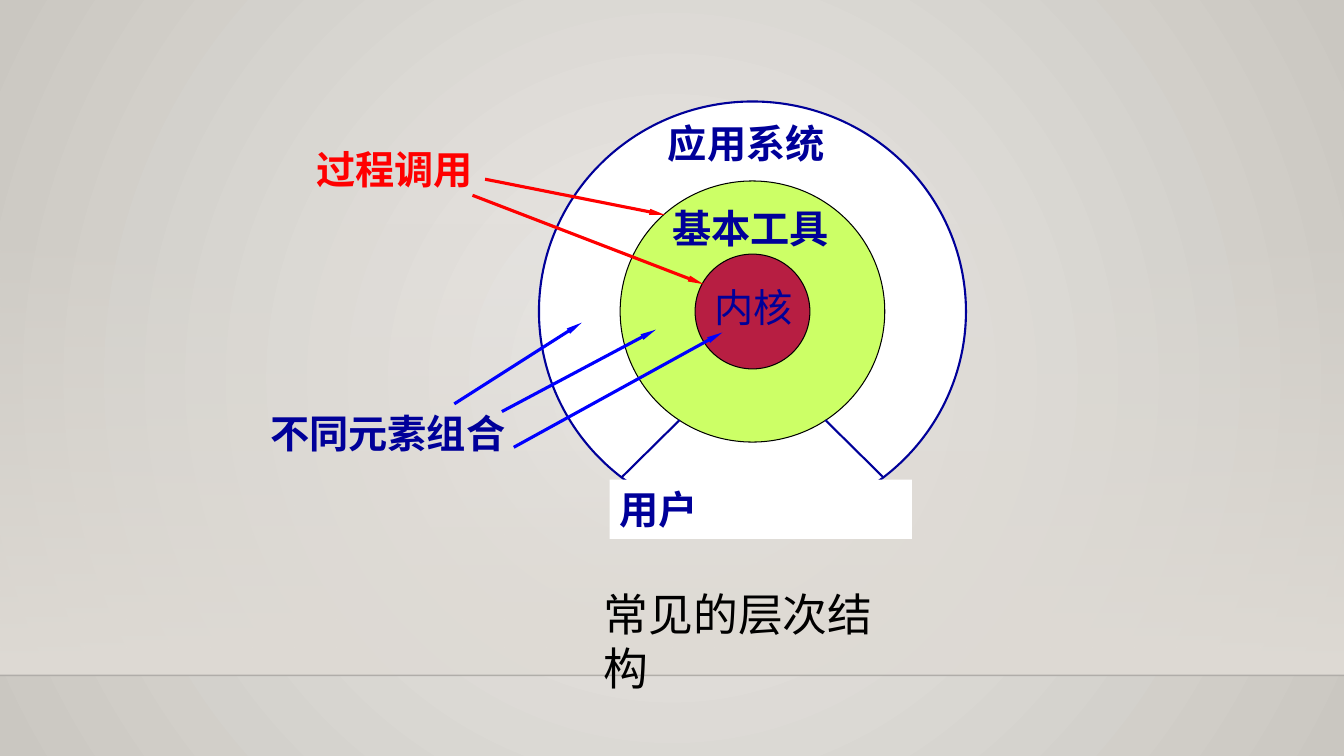
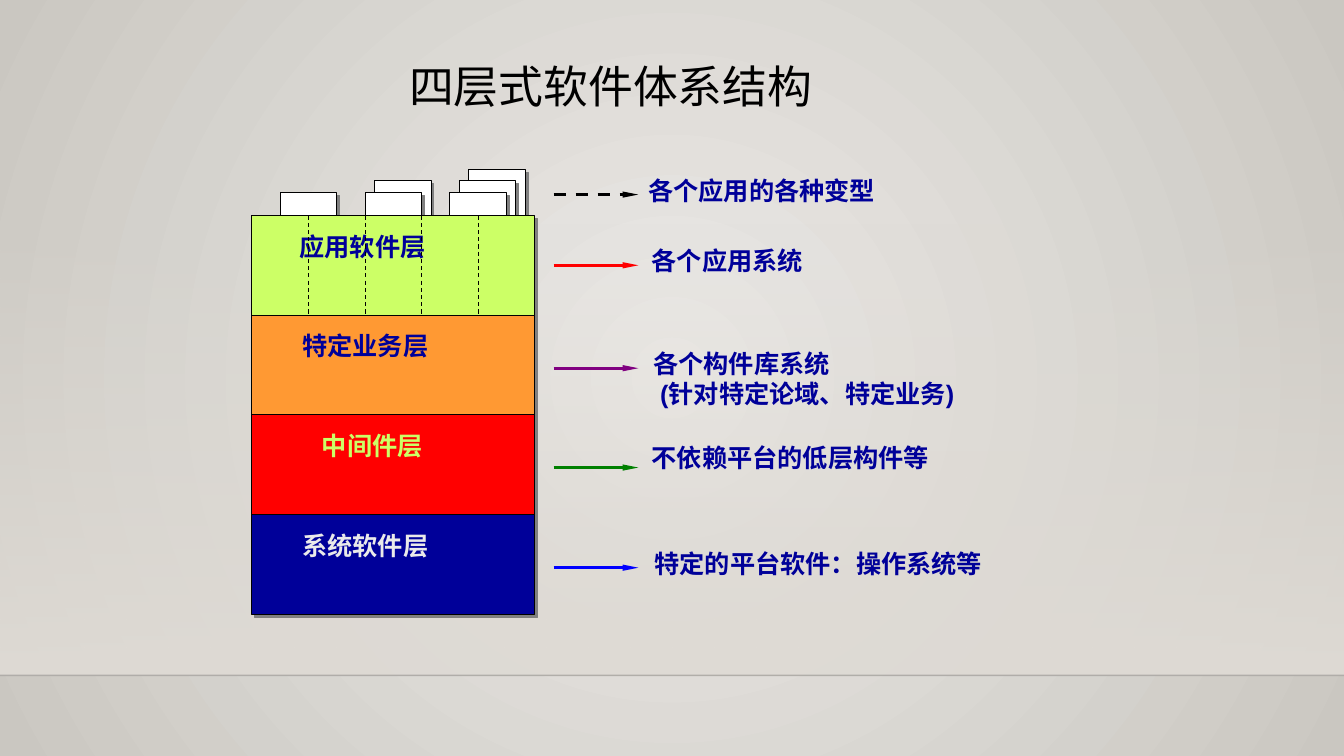
import dataclasses
import pptx
import pptx.dml.color
import pptx.enum.dml
import pptx.enum.shapes
import pptx.enum.text
import pptx.oxml
import pptx.oxml.ns
import pptx.util

Pt = pptx.util.Pt
Shape = pptx.enum.shapes.MSO_SHAPE
Anchor = pptx.enum.text.MSO_ANCHOR
qn = pptx.oxml.ns.qn


@dataclasses.dataclass(frozen=True)
class Theme:
    """Colours, fonts and sizes shared by the slides."""
    glow: str = "ECEAE7"
    edge: str = "CAC7C1"
    wall: str = "DFDBD5"
    floor: str = "000001"
    ink: str = "000000"
    navy: str = "000099"
    blue: str = "0000FF"
    red: str = "FF0000"
    lime: str = "CCFF66"
    wine: str = "B71E42"
    amber: str = "FF9933"
    plum: str = "800080"
    green: str = "008000"
    pale: str = "EAEAEA"
    white: str = "FFFFFF"
    shade: str = "808080"
    font: str = "Arial"
    serif: str = "Times New Roman"
    title: float = 32
    label: float = 28
    note: float = 18
    thin: float = 0.75
    rim: float = 1.5
    thick: float = 2.25


@dataclasses.dataclass(frozen=True)
class Box:
    """A region in points."""
    x: float
    y: float
    w: float
    h: float

    def sub(self, x, y, w, h):
        """Return a box placed relative to this one."""
        return Box(self.x + x, self.y + y, w, h)

    def at(self, x, y):
        """Return a point placed relative to this box."""
        return self.x + x, self.y + y

    def pts(self):
        """Return left, top, width and height as lengths."""
        return [Pt(v) for v in (self.x, self.y, self.w, self.h)]


T = Theme()


def rgb(code):
    """Return a colour from its hex code."""
    return pptx.dml.color.RGBColor.from_string(code)


def node(text):
    """Parse a drawing element written with the a: prefix."""
    head, rest = text.split(">", 1)
    slash = "/" if head.endswith("/") else ""
    head = head.rstrip("/")
    return pptx.oxml.parse_xml(f"{head} {pptx.oxml.ns.nsdecls('a')}{slash}>{rest}")


def blend(root, stops, way):
    """Refill the first gradient under root with stops and a direction."""
    grad = root.find(".//" + qn("a:gradFill"))
    for kid in list(grad):
        grad.remove(kid)
    marks = "".join(
        f'<a:gs pos="{pos}"><a:srgbClr val="{code}"><a:alpha val="{alpha}"/></a:srgbClr></a:gs>'
        for pos, code, alpha in stops)
    grad.append(node(f"<a:gsLst>{marks}</a:gsLst>"))
    grad.append(node(way))


def write(frame, text, size, color, bold=True, font=T.font):
    """Fill a text frame with left-aligned text in one style."""
    frame.text = text
    frame.word_wrap = True
    for para in frame.paragraphs:
        para.alignment = pptx.enum.text.PP_ALIGN.LEFT
        for run in para.runs:
            run.font.size = Pt(size)
            run.font.name = font
            run.font.bold = bold
            run.font.color.rgb = rgb(color)


def label(slide, box, text, size=T.label, color=T.navy, bold=True):
    """Add a text box."""
    write(slide.shapes.add_textbox(*box.pts()).text_frame, text, size, color, bold)


def form(slide, kind, box, fill, edge=None, width=T.thin, drop=False):
    """Add a filled shape, with an outline or hard shadow if asked."""
    shape = slide.shapes.add_shape(kind, *box.pts())
    shape.shadow.inherit = False
    shape.fill.solid()
    shape.fill.fore_color.rgb = rgb(fill)
    if edge:
        shape.line.color.rgb = rgb(edge)
        shape.line.width = Pt(width)
    else:
        shape.line.fill.background()
    if drop:
        shape.element.spPr.find(qn("a:effectLst")).append(node(
            f'<a:outerShdw dist="{Pt(2.8)}" dir="2700000" algn="ctr" rotWithShape="0">'
            f'<a:srgbClr val="{T.shade}"/></a:outerShdw>'))
    return shape


def line(slide, start, end, color, width, tip=False, dash=False):
    """Add a straight line, with an arrowhead at its end if asked."""
    link = slide.shapes.add_connector(
        pptx.enum.shapes.MSO_CONNECTOR.STRAIGHT, *[Pt(v) for v in (*start, *end)])
    link.line.color.rgb = rgb(color)
    link.line.width = Pt(width)
    if dash:
        link.line.dash_style = pptx.enum.dml.MSO_LINE.DASH
    props = link.element.spPr
    if tip:
        props.find(qn("a:ln")).append(node('<a:tailEnd type="triangle" w="sm" len="lg"/>'))
    props.append(node("<a:effectLst/>"))
    return link


def heading(slide, box, text, anchor):
    """Place and format the title."""
    title = slide.shapes.title
    title.left, title.top, title.width, title.height = box.pts()
    write(title.text_frame, text, T.title, T.ink, False)
    title.text_frame.auto_size = pptx.enum.text.MSO_AUTO_SIZE.NONE
    title.text_frame.vertical_anchor = anchor


def backdrop(deck, slide, box):
    """Put the glow, wall and floor line on the master."""
    master = deck.slide_master
    master.background.fill.gradient()
    blend(master.element, [(0, T.glow, 100000), (100000, T.edge, 100000)],
          '<a:path path="circle"><a:fillToRect l="50000" t="50000" r="50000" b="50000"/></a:path>')
    base = 482.4
    wall = form(slide, Shape.RECTANGLE, box.sub(0, 159, box.w, base - 159), T.wall)
    wall.fill.gradient()
    blend(wall.element, [(0, T.wall, 0), (100000, T.wall, 100000)],
          '<a:lin ang="5400000" scaled="0"/>')
    floor = line(slide, box.at(0, base), box.at(box.w, base), T.floor, 1)
    floor.element.find(".//" + qn("a:srgbClr")).append(node('<a:alpha val="20000"/>'))
    tree = master.element.cSld.spTree
    for rank, part in enumerate((wall, floor)):
        part.element.find(".//" + qn("p:cNvPr")).set("id", str(101 + rank))
        tree.insert(2 + rank, part.element)


def rings(slide, box):
    """Draw the nested rings with the user block below."""
    mid, half = box.w / 2, box.h / 2
    for wide, high, fill, edge, width in (
            (box.w, box.h, T.white, T.navy, T.rim),
            (189, 186.5, T.lime, T.ink, T.thin),
            (82, 82, T.wine, T.ink, T.thin)):
        spot = box.sub(mid - wide / 2, half - high / 2, wide, high)
        form(slide, Shape.OVAL, spot, fill, edge, width)
    user = form(slide, Shape.RECTANGLE, box.sub(50.5, 270, 216, 42.5), T.white)
    write(user.text_frame, "用户", T.label, T.navy, font=T.serif)
    user.text_frame.vertical_anchor = Anchor.MIDDLE
    for side in (-1, 1):
        line(slide, box.at(mid + side * 93.5, 268.5), box.at(mid + side * 52, 227.5),
             T.navy, T.rim)
    for x, y, text, bold in (
            (85, 9.5, "应用系统", True), (88, 70, "基本工具", True), (118, 126, "内核", False)):
        label(slide, box.sub(x, y, 133, 41), text, bold=bold)


def calls(slide, box):
    """Draw the two side labels and their arrows into the rings."""
    label(slide, box.sub(33, 0, 133, 41), "过程调用", color=T.red)
    label(slide, box.sub(0, 188.5, 190, 41), "不同元素组合")
    for color, start, end in (
            (T.red, (160.5, 28), (289, 53.5)),
            (T.red, (151.5, 39.5), (316.5, 103)),
            (T.blue, (181, 219.5), (330, 137.5)),
            (T.blue, (172.5, 194), (282.5, 135.5)),
            (T.blue, (138.5, 188.5), (229.5, 130.5))):
        line(slide, box.at(*start), box.at(*end), color, T.thick, tip=True)


def stack(slide, box):
    """Draw the sheets and the four layers."""
    for pile in (2, 1, 0):
        for back in range(pile, -1, -1):
            rise = 16.5 + 8.25 * back
            left = (0.1 + 0.3 * pile) * box.w + 6.75 * back
            form(slide, Shape.RECTANGLE, box.sub(left, -rise, 0.2 * box.w, rise),
                 T.white, T.ink, drop=True)
    high = box.h / 4
    for row, (text, fill, color, inset) in enumerate((
            ("应用软件层", T.lime, T.navy, 34), ("特定业务层", T.amber, T.navy, 36),
            ("中间件层", T.red, T.lime, 50), ("系统软件层", T.navy, T.pale, 36))):
        layer = form(slide, Shape.RECTANGLE, box.sub(0, row * high, box.w, high),
                     fill, T.ink, drop=True)
        frame = layer.text_frame
        write(frame, text, T.note, color)
        frame.vertical_anchor = Anchor.TOP
        frame.margin_left, frame.margin_top = Pt(inset), Pt(11)
    for part in range(1, 5):
        x = part * box.w / 5
        line(slide, box.at(x, 0), box.at(x, high), T.ink, T.thin, dash=True)


def notes(slide, box):
    """Draw the arrows and their remarks."""
    for y, color, x, lift, text in (
            (17, T.ink, 60.5, 17.5, "各个应用的各种变型"),
            (67.5, T.red, 63, 17.5, "各个应用系统"),
            (141, T.plum, 64, 18, "各个构件库系统\n (针对特定论域、特定业务)"),
            (212, T.green, 63, 21.5, "不依赖平台的低层构件等"),
            (283.5, T.blue, 65, 17.5, "特定的平台软件：操作系统等")):
        line(slide, box.at(0, y), box.at(60.5, y), color, T.thick, True, color == T.ink)
        label(slide, box.sub(x, y - lift, box.w - x, 40), text, T.note)


def main():
    """Build and save the deck."""
    deck = pptx.Presentation()
    page = Box(0, 0, 960, 540)
    deck.slide_width, deck.slide_height = Pt(page.w), Pt(page.h)
    first, second = [deck.slides.add_slide(deck.slide_layouts[5]) for _ in range(2)]
    backdrop(deck, first, page)
    heading(first, Box(424, 415.5, 230, 46), "常见的层次结构", Anchor.TOP)
    rings(first, Box(385, 72.5, 305, 300))
    calls(first, Box(186, 100, 330, 230))
    heading(second, Box(285, 34, 333, 55), "四层式软件体系结构", Anchor.MIDDLE)
    stack(second, Box(180, 154, 202, 284.8))
    notes(second, Box(395.5, 122, 420, 320))
    deck.save("out.pptx")


if __name__ == "__main__":
    main()
